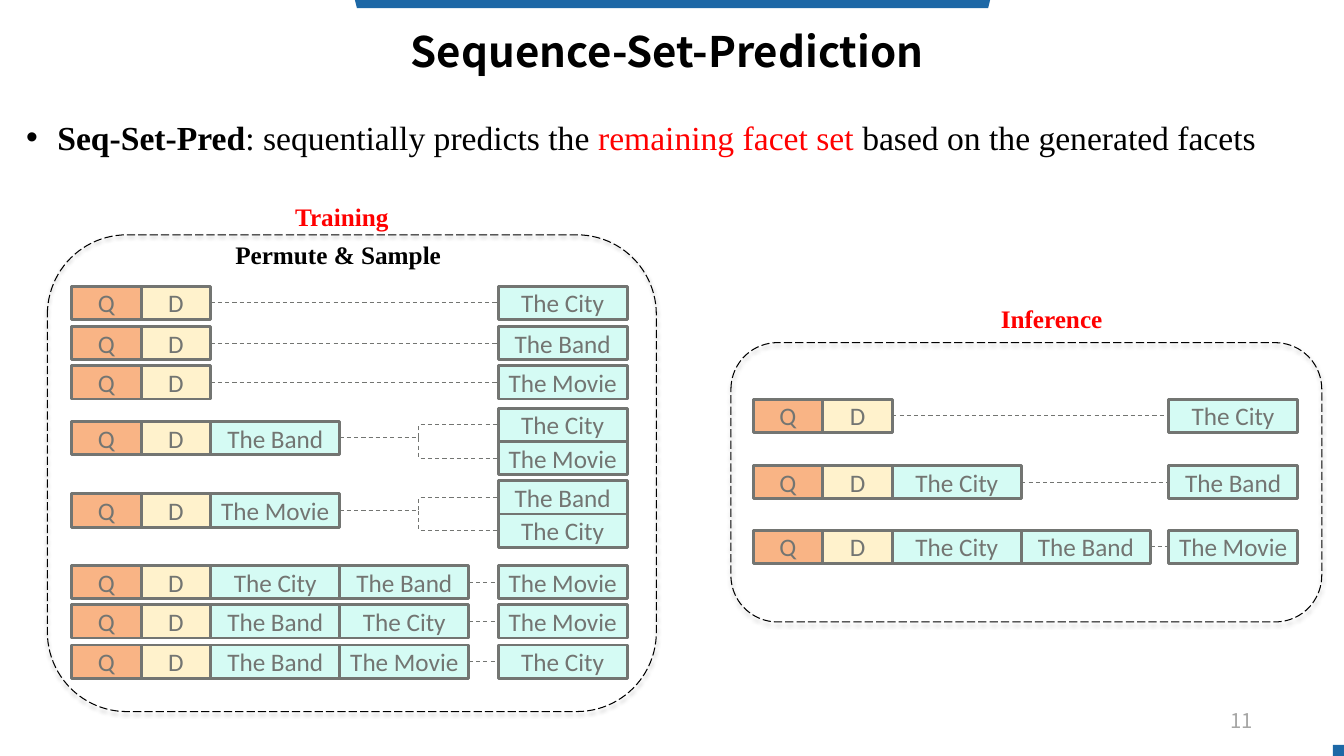
from lxml.etree import SubElement
from pptx import Presentation
from pptx.dml.color import RGBColor
from pptx.enum.dml import MSO_LINE
from pptx.enum.shapes import MSO_CONNECTOR, MSO_SHAPE
from pptx.enum.text import MSO_ANCHOR, MSO_AUTO_SIZE, PP_ALIGN
from pptx.oxml import parse_xml
from pptx.oxml.ns import nsdecls, qn
from pptx.util import Inches, Pt

BLACK = RGBColor(0x00, 0x00, 0x00)
RED = RGBColor(0xFF, 0x00, 0x00)
BLUE = RGBColor(0x1D, 0x68, 0xA6)
GRAY = RGBColor(0x73, 0x75, 0x72)
PAGE_GRAY = RGBColor(0xA6, 0xA6, 0xA5)
ORANGE = RGBColor(0xF9, 0xB4, 0x85)
CREAM = RGBColor(0xFF, 0xF2, 0xCC)
MINT = RGBColor(0xD5, 0xFB, 0xF4)

TITLE = {"name": "Noto Sans CJK SC", "size": Pt(30), "bold": True}
PAGE = {"name": "Noto Sans CJK SC", "size": Pt(14.5)}
BODY = {"name": "Times New Roman", "size": Pt(24), "bold": False}
LABEL = {"name": "Times New Roman", "size": Pt(18), "bold": True}
BOX = {"name": "Calibri", "size": Pt(18)}
WIDE_INSETS = {"margin_left": Inches(0.24), "margin_right": Inches(0.24),
               "margin_top": Inches(0.12), "margin_bottom": Inches(0.12),
               "vertical_anchor": MSO_ANCHOR.MIDDLE, "word_wrap": True}

TOKEN_W, FACET_W, BOX_H = 0.69, 1.28, 0.33
CITY, BAND, MOVIE = "The City", "The Band", "The Movie"

# Each row: top, facets already generated, facets to predict
TRAINING = [
    (2.84, [], [CITY]),
    (3.24, [], [BAND]),
    (3.63, [], [MOVIE]),
    (4.18, [BAND], [CITY, MOVIE]),
    (4.9, [MOVIE], [BAND, CITY]),
    (5.61, [CITY, BAND], [MOVIE]),
    (6, [BAND, CITY], [MOVIE]),
    (6.4, [BAND, MOVIE], [CITY]),
]
INFERENCE = [
    (3.96, [], [CITY]),
    (4.62, [CITY], [BAND]),
    (5.26, [CITY, BAND], [MOVIE]),
]


def apply(target, values):
    for name, value in values.items():
        setattr(target, name, value)


class FacetSlide:
    def __init__(self, prs):
        self.slide = prs.slides.add_slide(prs.slide_layouts[1])
        self.shapes = self.slide.shapes

    def place(self, sp, x, y, w, h):
        apply(sp, {"left": Inches(x), "top": Inches(y),
                   "width": Inches(w), "height": Inches(h)})

    def run(self, p, text, style, color):
        r = p.add_run()
        r.text = text
        apply(r.font, style)
        r.font.color.rgb = color
        return r

    def title(self, text):
        sp = self.shapes.title
        self.place(sp, 0, 0.01, 13.33, 0.98)
        apply(sp.text_frame, WIDE_INSETS)
        p = sp.text_frame.paragraphs[0]
        p.alignment = PP_ALIGN.CENTER
        self.run(p, text, TITLE, BLACK)

    def bullet(self, pieces):
        """Fill the body with one bullet made of (text, color, bold) pieces."""
        sp = self.slide.placeholders[1]
        self.place(sp, 0.16, 1.03, 12.82, 0.54)
        sp.text_frame.auto_size = MSO_AUTO_SIZE.SHAPE_TO_FIT_TEXT
        p = sp.text_frame.paragraphs[0]
        apply(p, {"line_spacing": 1.2, "space_before": Pt(0)})
        pPr = p._p.get_or_add_pPr()
        pPr.set("marL", str(Inches(0.31)))
        pPr.set("indent", str(-Inches(0.31)))
        SubElement(pPr, qn("a:buChar"), char="•")
        for text, color, bold in pieces:
            self.run(p, text, BODY, color).font.bold = bold

    def text(self, text, x, y, w, style, color, align=PP_ALIGN.CENTER, frame=None):
        sp = self.shapes.add_textbox(Inches(x), Inches(y), Inches(w), Inches(0.4))
        apply(sp.text_frame, frame or {"word_wrap": True})
        p = sp.text_frame.paragraphs[0]
        p.alignment = align
        self.run(p, text, style, color)

    def shape(self, kind, x, y, w, h, fill):
        sp = self.shapes.add_shape(kind, Inches(x), Inches(y), Inches(w), Inches(h))
        sp.shadow.inherit = False
        sp.fill.solid()
        sp.fill.fore_color.rgb = fill
        sp.line.fill.background()
        return sp

    def panel(self, x, y, w, h):
        sp = self.shape(MSO_SHAPE.ROUNDED_RECTANGLE, x, y, w, h, BLACK)
        sp.fill.background()
        sp.line.color.rgb = BLACK
        apply(sp.line, {"width": Pt(0.75), "dash_style": MSO_LINE.LONG_DASH})
        effects = sp._element.spPr.find(qn("a:effectLst"))
        effects.append(parse_xml(
            f'<a:outerShdw {nsdecls("a")} blurRad="{Pt(3.1)}" dist="{Pt(1.8)}" '
            'dir="5400000" rotWithShape="0"><a:srgbClr val="000000">'
            '<a:alpha val="35000"/></a:srgbClr></a:outerShdw>'))

    def box(self, text, x, y, w, fill):
        sp = self.shape(MSO_SHAPE.RECTANGLE, x, y, w, BOX_H, fill)
        sp.line.color.rgb = GRAY
        sp.line.width = Pt(2)
        apply(sp.text_frame, {"word_wrap": False, "vertical_anchor": MSO_ANCHOR.MIDDLE})
        p = sp.text_frame.paragraphs[0]
        p.alignment = PP_ALIGN.CENTER
        self.run(p, text, BOX, GRAY)
        return sp

    def link(self, source, target, kind):
        """Join the right side of source to the left side of target."""
        cxn = self.shapes.add_connector(kind, 0, 0, 0, 0)
        cxn.begin_connect(source, 3)
        cxn.end_connect(target, 1)
        cxn.line.color.rgb = GRAY
        apply(cxn.line, {"width": Pt(0.75), "dash_style": MSO_LINE.DASH})
        SubElement(cxn._element.spPr, qn("a:effectLst"))

    def row(self, x, target_x, y, given, targets):
        """Draw query, document and given facets, linked to the target facets."""
        self.box("Q", x, y, TOKEN_W, ORANGE)
        last = self.box("D", x + TOKEN_W, y, TOKEN_W, CREAM)
        for i, facet in enumerate(given):
            last = self.box(facet, x + 2 * TOKEN_W + i * FACET_W, y, FACET_W, MINT)
        split = len(targets) > 1
        kind = MSO_CONNECTOR.ELBOW if split else MSO_CONNECTOR.STRAIGHT
        top = y - 0.13 if split else y
        for i, facet in enumerate(targets):
            target = self.box(facet, target_x, top + i * BOX_H, FACET_W, MINT)
            self.link(last, target, kind)


def main():
    prs = Presentation()
    prs.slide_width, prs.slide_height = Inches(13.33), Inches(7.5)
    s = FacetSlide(prs)

    s.shape(MSO_SHAPE.TRAPEZOID, 3.52, 0, 6.3, 0.08, BLUE).rotation = 180
    s.shape(MSO_SHAPE.RECTANGLE, 13.22, 7.39, 0.11, 0.11, BLUE)
    s.title("Sequence-Set-Prediction ")
    s.bullet([("Seq-Set-Pred", BLACK, True),
              (": sequentially predicts the ", BLACK, False),
              ("remaining facet set ", RED, False),
              ("based on the generated facets", BLACK, False)])
    s.text("11", 9.56, 6.95, 3.11, PAGE, PAGE_GRAY, PP_ALIGN.RIGHT, WIDE_INSETS)

    s.panel(0.47, 2.33, 6.04, 4.73)
    s.panel(7.25, 3.4, 5.86, 2.77)
    s.text("Permute & Sample ", 2.09, 2.33, 2.59, LABEL, BLACK)
    s.text("Training", 2.82, 1.95, 1.14, LABEL, RED, frame={"word_wrap": False})
    s.text("Inference", 9.82, 2.96, 1.22, LABEL, RED, frame={"word_wrap": False})

    for x, target_x, rows in ((0.71, 4.94, TRAINING), (7.47, 11.59, INFERENCE)):
        for y, given, targets in rows:
            s.row(x, target_x, y, given, targets)

    prs.save("out.pptx")


if __name__ == "__main__":
    main()
